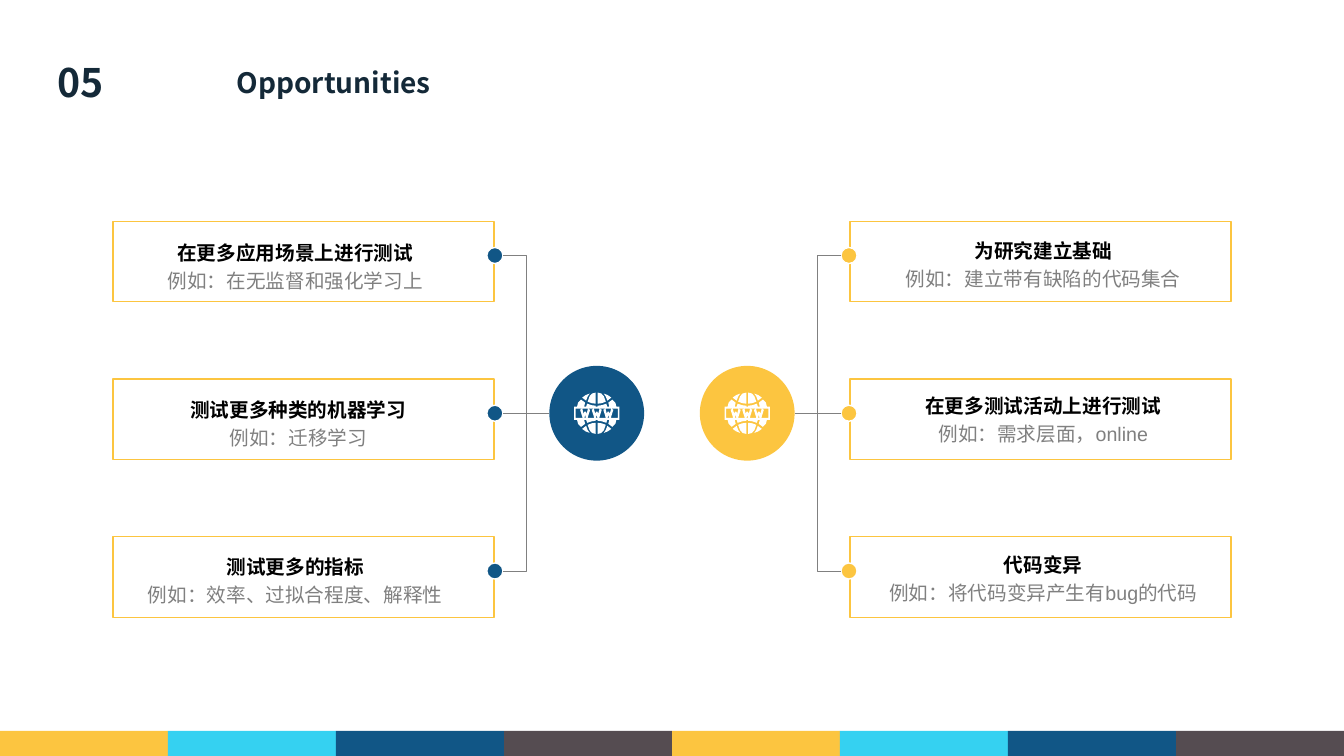
from lxml.etree import SubElement
from pptx import Presentation
from pptx.dml.color import RGBColor
from pptx.enum.shapes import MSO_CONNECTOR as Link, MSO_SHAPE as Kind
from pptx.enum.text import MSO_AUTO_SIZE as Fit, PP_ALIGN as Align
from pptx.oxml.ns import qn
from pptx.util import Inches, Pt

WIDE, HIGH = 13.333, 7.5
GOLD, CYAN, BLUE, DARK = "FCC540", "35D1F1", "115686", "554C51"
NAVY, GREY, WHITE, BLACK = "142938", "808080", "FFFFFF", "000000"
SANS, ARIAL = "Noto Sans CJK SC", "Arial"

# Each card: heading, example, left and top of its text
LEFT = [
    ("在更多应用场景上进行测试", "例如：在无监督和强化学习上", 1.23, 2.29),
    ("测试更多种类的机器学习", "例如：迁移学习", 1.26, 3.85),
    ("测试更多的指标", "例如：效率、过拟合程度、解释性", 1.23, 5.41),
]
RIGHT = [
    ("为研究建立基础", "例如：建立带有缺陷的代码集合", 8.65, 2.27),
    ("在更多测试活动上进行测试", "例如：需求层面，online", 8.65, 3.81),
    ("代码变异", "例如：将代码变异产生有bug的代码", 8.65, 5.39),
]
SIDES = [(RIGHT, GOLD, True), (LEFT, BLUE, False)]

# Globe parts in thousandths of an inch from its centre
QUARTER = [
    [(10, 205), (10, 95), (50, 100), (90, 115), (70, 170), (45, 196)],
    [(70, 195), (110, 180), (145, 155), (105, 125), (90, 165)],
    [(10, 65), (105, 65), (95, 95), (50, 80), (10, 75)],
    [(125, 65), (195, 65), (185, 105), (155, 135), (115, 105)],
]
HALF_W = [(50, -35), (25, 45), (7, 45), (0, 15)]
CROWN = [(0, -15), (7, -15), (15, 5), (28, -45)]

MID, STEP = 4.1, 1.565
CARD_X, CARD_W, CARD_H, CARD_UP = 1.12, 3.78, 0.8, 0.34
DOT_X, DOT_R, HUB_X, HUB_R = 4.91, 0.08, 5.92, 0.47

deck = Presentation()
deck.slide_width, deck.slide_height = Inches(WIDE), Inches(HIGH)
slide = deck.slides.add_slide(deck.slide_layouts[6])
shapes = slide.shapes


def color(code):
    return RGBColor.from_string(code)


def paint(shape, fill, line=None):
    shape.shadow.inherit = False
    shape.fill.solid()
    shape.fill.fore_color.rgb = color(fill)
    if line:
        shape.line.color.rgb = color(line)
        shape.line.width = Pt(1)
    else:
        shape.line.fill.background()


def block(kind, x, y, w, h, fill, line=None):
    paint(shapes.add_shape(kind, *map(Inches, (x, y, w, h))), fill, line)


def disc(x, y, r, fill, line=None):
    block(Kind.OVAL, x - r, y - r, 2 * r, 2 * r, fill, line)


def write(area, lines, wrap=True, align=Align.CENTER, space=None):
    """Lines hold text, size, font, colour and bold."""
    frame = shapes.add_textbox(*map(Inches, area)).text_frame
    frame.word_wrap, frame.auto_size = wrap, Fit.SHAPE_TO_FIT_TEXT
    for i, (text, size, face, code, bold) in enumerate(lines):
        para = frame.add_paragraph() if i else frame.paragraphs[0]
        para.text, para.alignment = text, align
        if space:
            para.line_spacing = space
        font = para.font
        font.size, font.bold, font.name = Pt(size), bold, face
        font.color.rgb = color(code)
        props = para._p.pPr.find(qn("a:defRPr"))
        SubElement(props, qn("a:ea")).set("typeface", SANS)


def join(kind, start, end):
    link = shapes.add_connector(kind, *map(Inches, start + end))
    link.line.color.rgb = color(GREY)
    link.line.width = Pt(0.5)
    SubElement(link._element.spPr, qn("a:effectLst"))


def frame_of(w, h):
    return [(-w, -h), (w, -h), (w, h), (-w, h)]


def globe(x, y):
    """Mirror the quarter both ways, then add the band and its letters."""
    parts = [[(px * sx, py * sy) for px, py in part]
             for part in QUARTER for sx in (1, -1) for sy in (1, -1)]
    parts += [frame_of(225, 65), frame_of(210, 45)]
    half = CROWN + HALF_W
    letter = half + [(-px, py) for px, py in half[:0:-1] if px]
    parts += [[(px + dx, py) for px, py in letter] for dx in (-115, 0, 115)]
    pen = shapes.build_freeform(*parts[0][0], scale=914.4)
    for i, part in enumerate(parts):
        if i:
            pen.move_to(*part[0])
        pen.add_line_segments(part[1:], close=True)
    paint(pen.convert_to_shape(Inches(x), Inches(y)), WHITE)


write((0.45, 0.53, 0.69, 0.57), [("05", 28, SANS, NAVY, True)])
write((2.25, 0.6, 2.18, 0.44), [("Opportunities", 20, SANS, NAVY, True)],
      wrap=False, align=Align.LEFT)
for i, tone in enumerate([GOLD, CYAN, BLUE, DARK] * 2):
    block(Kind.RECTANGLE, i * WIDE / 8, HIGH - 0.25, WIDE / 8, 0.25, tone)

for cards, tone, flip in SIDES:
    def place(x):
        return WIDE - x if flip else x

    hub = place(HUB_X)
    disc(hub, MID, HUB_R, tone)
    card_x = place(CARD_X + CARD_W) if flip else CARD_X
    for i, (head, note, x, y) in enumerate(cards):
        row = MID + (i - 1) * STEP
        block(Kind.RECTANGLE, card_x, row - CARD_UP, CARD_W, CARD_H, WHITE, GOLD)
        disc(place(DOT_X), row, DOT_R, tone, WHITE)
        join(Link.STRAIGHT if i == 1 else Link.ELBOW,
             (place(DOT_X + DOT_R), row), (place(HUB_X - HUB_R), MID))
        write((x, y, 3.4, 0.67), [(head, 14, ARIAL, BLACK, True),
                                  (note, 14, ARIAL, GREY, False)], space=1.2)
    globe(hub, MID)

deck.save("out.pptx")
